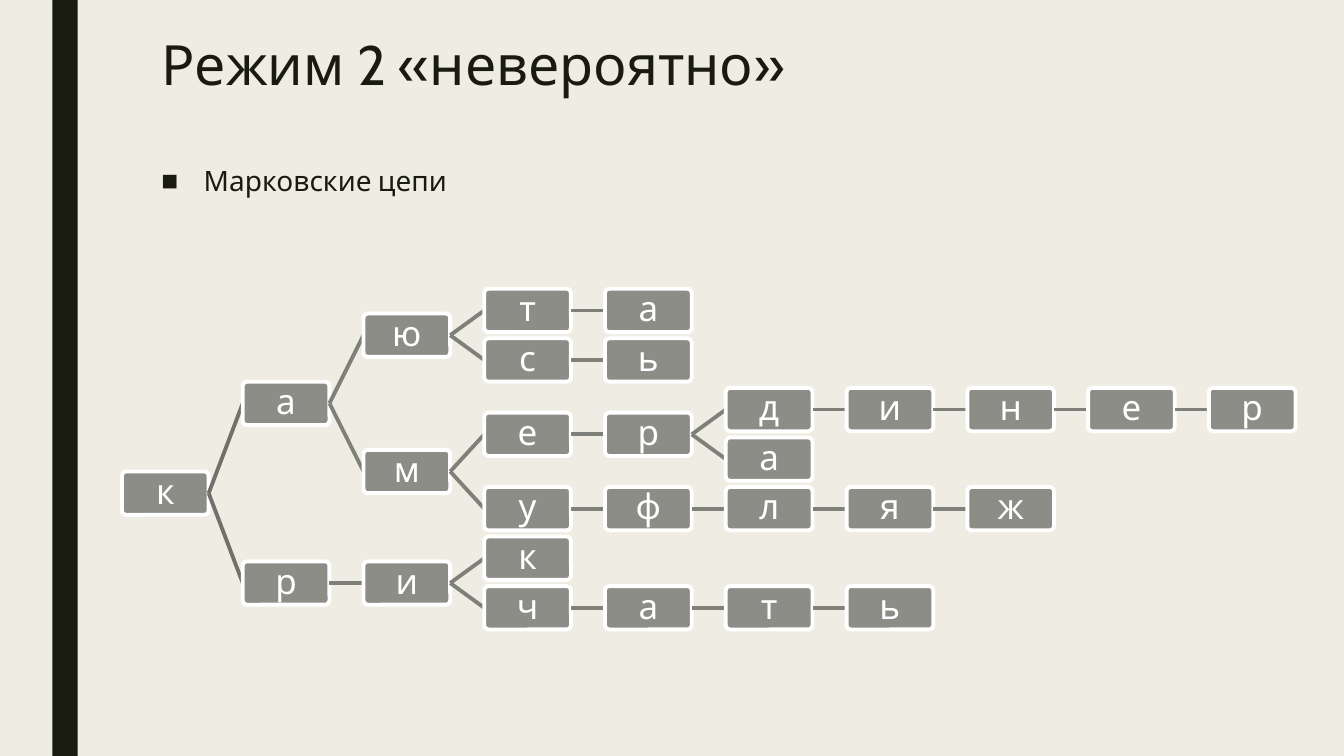
from dataclasses import dataclass

from lxml.etree import SubElement
from pptx import Presentation
from pptx.dml.color import RGBColor
from pptx.enum.shapes import MSO_CONNECTOR as Connector, MSO_SHAPE as Preset
from pptx.enum.text import MSO_ANCHOR as Anchor, MSO_AUTO_SIZE as AutoSize, PP_ALIGN as Align
from pptx.oxml.ns import qn
from pptx.shapes.autoshape import Shape
from pptx.slide import Slide
from pptx.util import Inches, Pt

COLORS = {
    "background": "EFEDE3",
    "dark": "191B0E",
    "node": "8C8D86",
    "white": "FFFFFF",
    "root_link": "70716B",
    "link": "7F807A",
}
FONT = "Cabin"
NODE_WIDTH, NODE_HEIGHT = 0.86, 0.43
FIRST_COLUMN, LAST_COLUMN, COLUMN_STEPS = 1.21, 11.99, 9
FIRST_ROW, LAST_ROW = 3.08, 6.03
LINE_WIDTH = 2.75


@dataclass(frozen=True)
class Branch:
    """A straight run of letters that may split into further branches."""

    letters: str
    children: tuple["Branch", ...] = ()

    def leaf_count(self) -> int:
        """Count the rows that the branch takes up."""
        return sum(child.leaf_count() for child in self.children) or 1

    def row(self, first: int) -> float:
        """Find the row midway between the first and last child."""
        if not self.children:
            return first
        last = self.children[-1]
        last_start = first + self.leaf_count() - last.leaf_count()
        return (self.children[0].row(first) + last.row(last_start)) / 2


WORD_TREE = Branch("к", (
    Branch("а", (
        Branch("ю", (Branch("та"), Branch("сь"))),
        Branch("м", (
            Branch("ер", (Branch("динер"), Branch("а"))),
            Branch("уфляж"),
        )),
    )),
    Branch("ри", (Branch("к"), Branch("чать"))),
))


def color(name: str) -> RGBColor:
    """Look up a named colour."""
    return RGBColor.from_string(COLORS[name])


def write_text(shape: Shape, text: str, *, size: float, ink: str = "dark",
               align: Align = Align.LEFT, anchor: Anchor = Anchor.TOP,
               spacing: float = 0.9, before: float = 0, after: float = 0,
               inset: float | None = None, bullet: str = "",
               indent: float = 0) -> None:
    """Write one formatted paragraph into a shape."""
    frame = shape.text_frame
    frame.word_wrap = True
    frame.auto_size = AutoSize.NONE
    frame.vertical_anchor = anchor
    if inset is not None:
        frame.margin_left = frame.margin_right = Inches(inset)
        frame.margin_top = frame.margin_bottom = Inches(inset)
    paragraph = frame.paragraphs[0]
    paragraph.alignment = align
    paragraph.line_spacing = spacing
    paragraph.space_before, paragraph.space_after = Pt(before), Pt(after)
    run = paragraph.add_run()
    run.text = text
    run.font.name, run.font.size = FONT, Pt(size)
    run.font.color.rgb = color(ink)
    if bullet:
        properties = paragraph._p.get_or_add_pPr()
        properties.set("marL", str(Inches(indent)))
        properties.set("indent", str(-Inches(indent)))
        SubElement(properties, qn("a:buChar")).set("char", bullet)


def place(shape: Shape, left: float, top: float, width: float, height: float) -> None:
    """Move and size a placeholder."""
    shape.left, shape.top = Inches(left), Inches(top)
    shape.width, shape.height = Inches(width), Inches(height)


def add_box(slide: Slide, preset: Preset, left: float, top: float,
            width: float, height: float, fill: str) -> Shape:
    """Add a filled shape without outline or shadow."""
    shape = slide.shapes.add_shape(
        preset, Inches(left), Inches(top), Inches(width), Inches(height))
    shape.shadow.inherit = False
    shape.fill.solid()
    shape.fill.fore_color.rgb = color(fill)
    shape.line.fill.background()
    return shape


def add_node(slide: Slide, letter: str, column: int, row: float) -> Shape:
    """Draw one letter at its place in the grid."""
    left = FIRST_COLUMN + column * (LAST_COLUMN - FIRST_COLUMN) / COLUMN_STEPS
    middle = FIRST_ROW + row * (LAST_ROW - FIRST_ROW) / (WORD_TREE.leaf_count() - 1)
    shape = add_box(slide, Preset.ROUNDED_RECTANGLE, left, middle - NODE_HEIGHT / 2,
                    NODE_WIDTH, NODE_HEIGHT, "node")
    shape.adjustments[0] = 0.1
    shape.line.color.rgb = color("white")
    shape.line.width = Pt(LINE_WIDTH)
    write_text(shape, letter, size=25, ink="white", align=Align.CENTER,
               anchor=Anchor.MIDDLE, inset=0.02)
    return shape


def draw_branch(slide: Slide, branch: Branch, column: int = 0, first: int = 0,
                parent: Shape | None = None) -> None:
    """Draw a branch, its links and all its children."""
    row = branch.row(first)
    for letter in branch.letters:
        link = None
        if parent is not None:
            link = slide.shapes.add_connector(Connector.STRAIGHT, 0, 0, 0, 0)
            link.line.color.rgb = color("root_link" if column == 1 else "link")
            link.line.width = Pt(LINE_WIDTH)
            SubElement(link._element.spPr, qn("a:effectLst"))
            link.begin_connect(parent, 3)
        node = add_node(slide, letter, column, row)
        if link is not None:
            link.end_connect(node, 1)
        parent = node
        column += 1
    for child in branch.children:
        draw_branch(slide, child, column, first, parent)
        first += child.leaf_count()


def main() -> None:
    """Build and save the presentation."""
    presentation = Presentation()
    presentation.slide_width, presentation.slide_height = Inches(13.33), Inches(7.5)
    slide = presentation.slides.add_slide(presentation.slide_layouts[1])
    slide.background.fill.solid()
    slide.background.fill.fore_color.rgb = color("background")
    add_box(slide, Preset.RECTANGLE, 0.52, 0, 0.25, 7.5, "dark")

    title, body = slide.shapes.title, slide.placeholders[1]
    place(title, 1.5, 0.33, 10.5, 1.08)
    write_text(title, "Режим 2 «невероятно»", size=39.6, spacing=0.89)
    place(body, 1.5, 1.6, 4.86, 0.71)
    write_text(body, "Марковские цепи", size=20, spacing=0.94, before=10, after=2,
               bullet="■", indent=0.42)
    draw_branch(slide, WORD_TREE)
    presentation.save("out.pptx")


if __name__ == "__main__":
    main()
